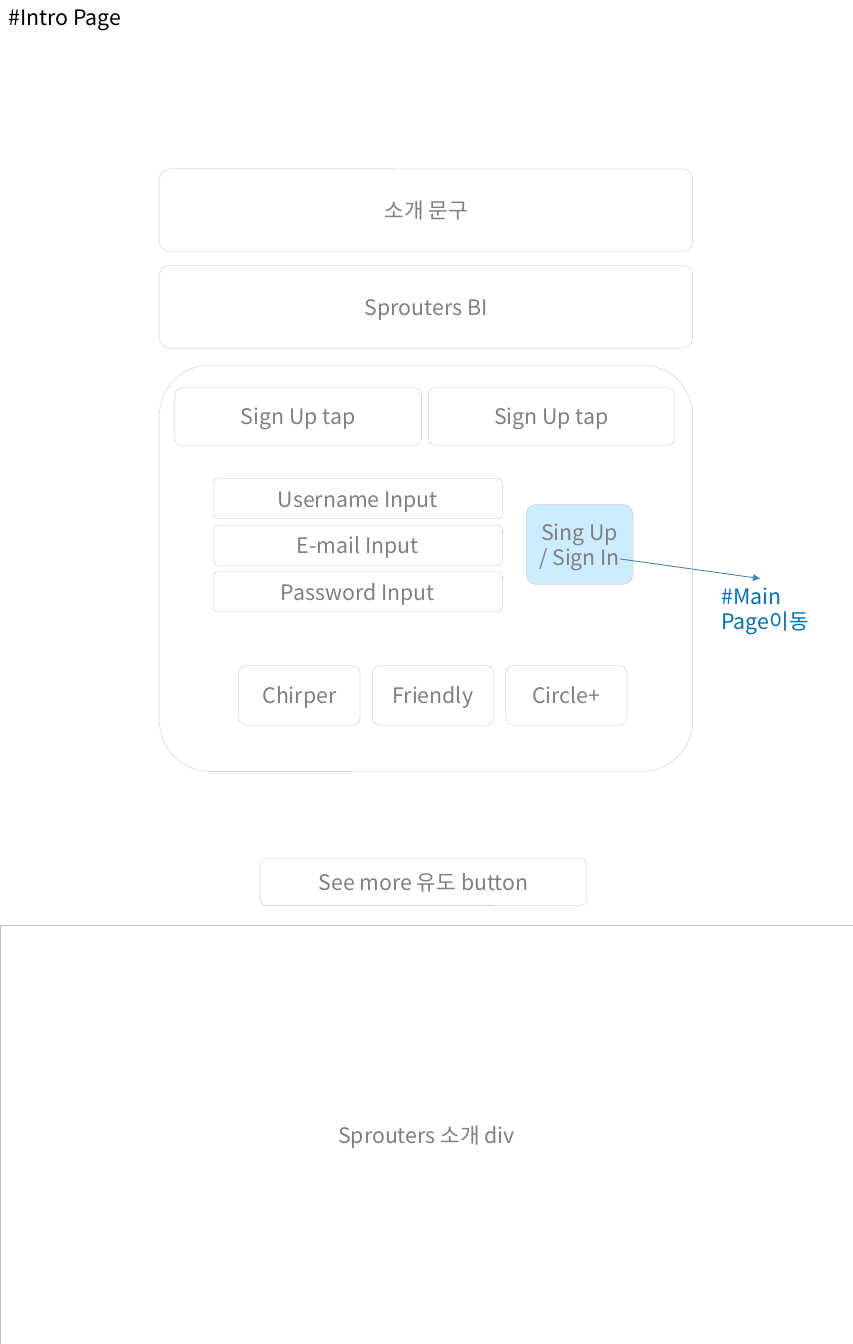
from lxml import etree
from pptx import Presentation
from pptx.dml.color import RGBColor
from pptx.enum import shapes, text
from pptx.oxml import ns
from pptx.util import Inches, Pt

FONT = "Noto Sans CJK KR"
COLORS = {"title": "000000", "label": "808080", "border": "BFBFBF",
          "submit": "CCECFF", "arrow": "4B7EBC", "note": "0070C0"}

# Content: single boxes as (lines, (left, top, width, height))
TITLE = (["#Intro Page"], (0, 0, 1.54, 0.4))
NOTE = (["#Main Page이동"], (8.36, 6.78, 1.25, 0.71))
BANNERS = [(["소개 문구"], (1.87, 1.98, 6.25, 0.97)),
           (["Sprouters BI"], (1.87, 3.11, 6.25, 0.97))]
FORM_PANEL = ([], (1.87, 4.28, 6.25, 4.76))
SUBMIT = (["Sing Up", "/ Sign In"], (6.17, 5.91, 1.25, 0.94))
SEE_MORE = (["See more 유도 button"], (3.05, 10.06, 3.83, 0.55))
ABOUT = (["Sprouters 소개 div"], (0, 10.84, 10, 4.91))
ARROW = (7.27, 6.55, 8.91, 6.78)

# Content: repeated boxes as (labels, first box, (step right, step down))
GROUPS = [
    (["Sign Up tap", "Sign Up tap"], (2.05, 4.54, 2.89, 0.68), (2.97, 0)),
    (["Username Input", "E-mail Input", "Password Input"],
     (2.5, 5.61, 3.39, 0.47), (0, 0.545)),
    (["Chirper", "Friendly", "Circle+"], (2.8, 7.8, 1.42, 0.7), (1.565, 0)),
]

prs = Presentation()
prs.slide_width, prs.slide_height = Inches(10), Inches(15.75)
s = prs.slides.add_slide(prs.slide_layouts[6])


def rgb(name):
    return RGBColor.from_string(COLORS[name])


def write(tf, lines, color="label", align=text.PP_ALIGN.CENTER, size=18):
    for i, line in enumerate(lines):
        p = tf.paragraphs[0] if i == 0 else tf.add_paragraph()
        p.alignment = align
        r = p.add_run()
        r.text = line
        r.font.size = Pt(size)
        r.font.name = FONT
        r.font.color.rgb = rgb(color)
        etree.SubElement(r.font._element, ns.qn("a:ea"), typeface=FONT)


def add_box(lines, at, fill=None, rounded=True):
    kind = shapes.MSO_SHAPE.ROUNDED_RECTANGLE if rounded else shapes.MSO_SHAPE.RECTANGLE
    sp = s.shapes.add_shape(kind, *map(Inches, at))
    if rounded:
        sp.adjustments[0] = 0.124
    sp.shadow.inherit = False
    if fill:
        sp.fill.solid()
        sp.fill.fore_color.rgb = rgb(fill)
    else:
        sp.fill.background()
    sp.line.color.rgb = rgb("border")
    sp.line.width = Pt(0.25)
    sp.text_frame.vertical_anchor = text.MSO_ANCHOR.MIDDLE
    write(sp.text_frame, lines)


def add_label(lines, at, color, wrap):
    tf = s.shapes.add_textbox(*map(Inches, at)).text_frame
    tf.word_wrap = wrap
    tf.auto_size = text.MSO_AUTO_SIZE.SHAPE_TO_FIT_TEXT
    write(tf, lines, color=color, align=text.PP_ALIGN.LEFT)


# Page title, banners and sections
add_label(*TITLE, color="title", wrap=False)
for banner in BANNERS:
    add_box(*banner)
add_box(*FORM_PANEL)
add_box(*ABOUT, rounded=False)

# Tabs, inputs and social buttons
for labels, (x, y, w, h), (dx, dy) in GROUPS:
    for i, label in enumerate(labels):
        add_box([label], (x + i * dx, y + i * dy, w, h))

# Action buttons
add_box(*SUBMIT, fill="submit")
add_box(*SEE_MORE)

# Arrow to the next page and its note
arrow = s.shapes.add_connector(shapes.MSO_CONNECTOR.STRAIGHT, *map(Inches, ARROW))
arrow.line.color.rgb = rgb("arrow")
arrow.line.width = Pt(0.75)
etree.SubElement(arrow.line._get_or_add_ln(), ns.qn("a:tailEnd"), type="triangle")
etree.SubElement(arrow._element.spPr, ns.qn("a:effectLst"))
add_label(*NOTE, color="note", wrap=True)

prs.save("out.pptx")
